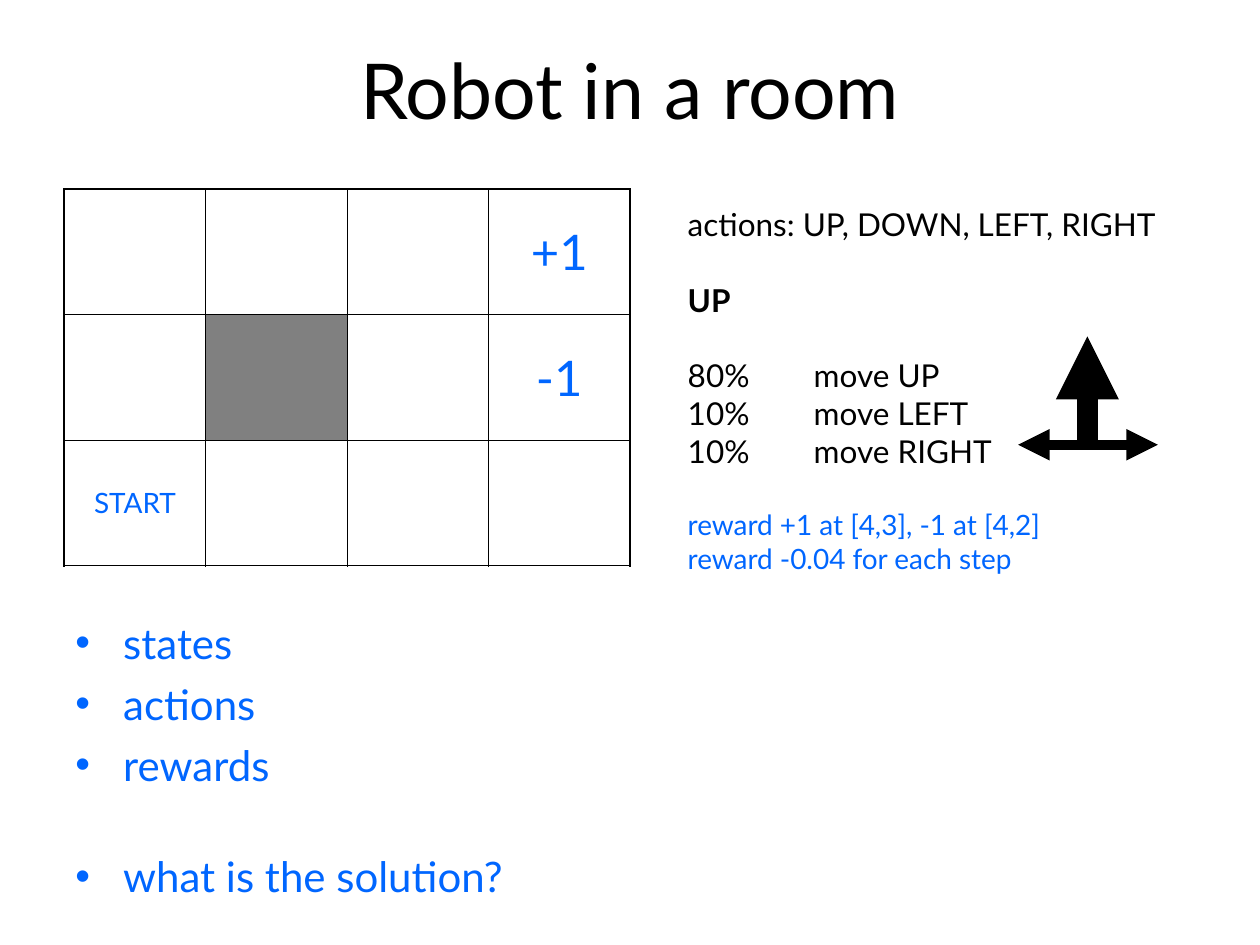
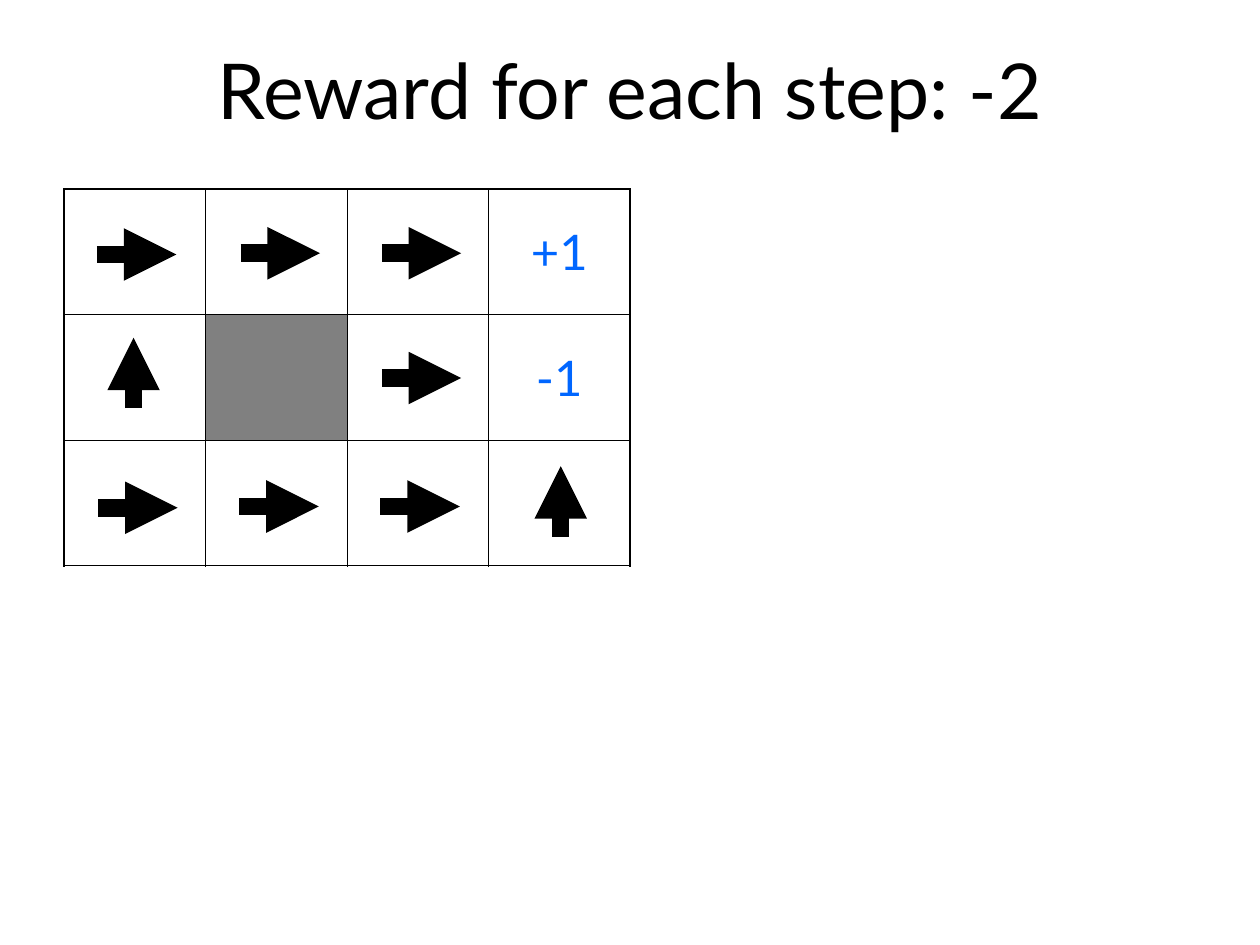
from lxml import etree
from pptx import Presentation
from pptx.dml.color import RGBColor
from pptx.enum.shapes import MSO_CONNECTOR
from pptx.enum.text import MSO_ANCHOR, PP_ALIGN
from pptx.oxml.ns import qn
from pptx.util import Inches, Pt

STRAIGHT = MSO_CONNECTOR.STRAIGHT
MIDDLE, CENTER = MSO_ANCHOR.MIDDLE, PP_ALIGN.CENTER

COLORS = {"black": "000000", "blue": "0066FF", "wall": "808080"}
FONT = "Lato"
ROWS, COLS = 3, 4
GRID = (0.51, 1.5, 4.49, 2.99)
OUTER, INNER = 1.08, 0.45
WALL = (1, 1)
GOALS = {(0, 3): ("+1", 28), (1, 3): ("-1", 28)}
START = {(2, 0): ("START", 16)}

NOTE = dict(size=18, color="black")
REWARD = dict(size=16, color="blue")
RULES = [
    ("actions: UP, DOWN, LEFT, RIGHT", 0, NOTE),
    ("UP", 21.6, dict(NOTE, bold=True)),
    ("80%\tmove UP", 21.6, NOTE),
    ("10%\tmove LEFT", 0, NOTE),
    ("10%\tmove RIGHT", 0, NOTE),
    ("reward +1 at [4,3], -1 at [4,2]", 21.6, REWARD),
    ("reward -0.04 for each step", 0, REWARD),
]
TOPIC = dict(size=24, color="blue")
TOPICS = [
    ("states", 0, TOPIC),
    ("actions", 6, TOPIC),
    ("rewards", 6, TOPIC),
    ("what is the solution?", 35, TOPIC),
]
MOVE_ODDS = [
    ((8.63, 3.53), (8.63, 2.67), 12),
    ((8.63, 3.53), (9.19, 3.53), 6),
    ((8.71, 3.53), (8.08, 3.53), 6),
]
STEPS = {"right": (0.63, 0), "up": (0, -0.56)}
POLICY = [
    ("right", 0.77, 2.02), ("right", 1.91, 2.01), ("right", 3.03, 2.01),
    ("up", 1.06, 3.24), ("right", 3.03, 3),
    ("right", 0.78, 4.03), ("right", 1.9, 4.02), ("right", 3.02, 4.02),
    ("up", 4.45, 4.26),
]


def rgb(name):
    return RGBColor.from_string(COLORS[name])


def write(p, text, size, color, bold=False):
    r = p.add_run()
    r.text = text
    for key, value in dict(name=FONT, size=Pt(size), bold=bold).items():
        setattr(r.font, key, value)
    r.font.color.rgb = rgb(color)


def add_text(s, box, lines, bullet=False, tab=None):
    tf = s.shapes.add_textbox(*map(Inches, box)).text_frame
    tf.word_wrap = True
    for i, (text, before, style) in enumerate(lines):
        p = tf.add_paragraph() if i else tf.paragraphs[0]
        if before:
            p.space_before = Pt(before)
        pPr = p._p.get_or_add_pPr()
        if bullet:
            pPr.set("marL", str(Inches(0.38)))
            pPr.set("indent", str(-Inches(0.38)))
            etree.SubElement(pPr, qn("a:buFont"), typeface="Arial")
            etree.SubElement(pPr, qn("a:buChar"), char="•")
        if tab:
            tabs = etree.SubElement(pPr, qn("a:tabLst"))
            etree.SubElement(tabs, qn("a:tab"), pos=str(Inches(tab)), algn="l")
        write(p, text, **style)
    return tf


def add_arrow(s, start, end, width):
    line = s.shapes.add_connector(STRAIGHT, *map(Inches, (*start, *end)))
    line.line.width = Pt(width)
    line.line.color.rgb = rgb("black")
    etree.SubElement(line.line._get_or_add_ln(), qn("a:tailEnd"), type="triangle")
    etree.SubElement(line._element.spPr, qn("a:effectLst"))


def set_borders(cell, row, col):
    edges = {"L": col == 0, "R": col == COLS - 1, "T": row == 0, "B": row == ROWS - 1}
    tcPr = cell._tc.get_or_add_tcPr()
    for side, is_outer in edges.items():
        ln = etree.SubElement(tcPr, qn(f"a:ln{side}"), w=str(Pt(OUTER if is_outer else INNER)))
        fill = etree.SubElement(ln, qn("a:solidFill"))
        etree.SubElement(fill, qn("a:srgbClr"), val=COLORS["black"])


def add_room(s, labels):
    table = s.shapes.add_table(ROWS, COLS, *map(Inches, GRID)).table
    table.first_row = table.horz_banding = False
    for row in range(ROWS):
        for col in range(COLS):
            cell = table.cell(row, col)
            set_borders(cell, row, col)
            cell.fill.background()
            if (row, col) == WALL:
                cell.fill.solid()
                cell.fill.fore_color.rgb = rgb("wall")
            if (row, col) in labels:
                text, size = labels[row, col]
                cell.vertical_anchor = MIDDLE
                p = cell.text_frame.paragraphs[0]
                p.alignment = CENTER
                write(p, text, size, "blue")


def add_room_slide(prs, title, labels):
    s = prs.slides.add_slide(prs.slide_layouts[6])
    tf = add_text(s, (0.5, 0.08, 9, 1.25), [(title, 0, dict(size=44, color="black"))])
    tf.vertical_anchor = MIDDLE
    tf.paragraphs[0].alignment = CENTER
    add_room(s, labels)
    return s


def main():
    prs = Presentation()
    prs.slide_width, prs.slide_height = Inches(10), Inches(7.5)

    s = add_room_slide(prs, "Robot in a room", GOALS | START)
    for start, end, width in MOVE_ODDS:
        add_arrow(s, start, end, width)
    add_text(s, (5.36, 1.58, 4.22, 3.04), RULES, tab=1)
    add_text(s, (0.5, 4.85, 9, 2.65), TOPICS, bullet=True)

    s = add_room_slide(prs, "Reward for each step: -2", GOALS)
    for direction, x, y in POLICY:
        dx, dy = STEPS[direction]
        add_arrow(s, (x, y), (x + dx, y + dy), 10)

    prs.save("out.pptx")


if __name__ == "__main__":
    main()
